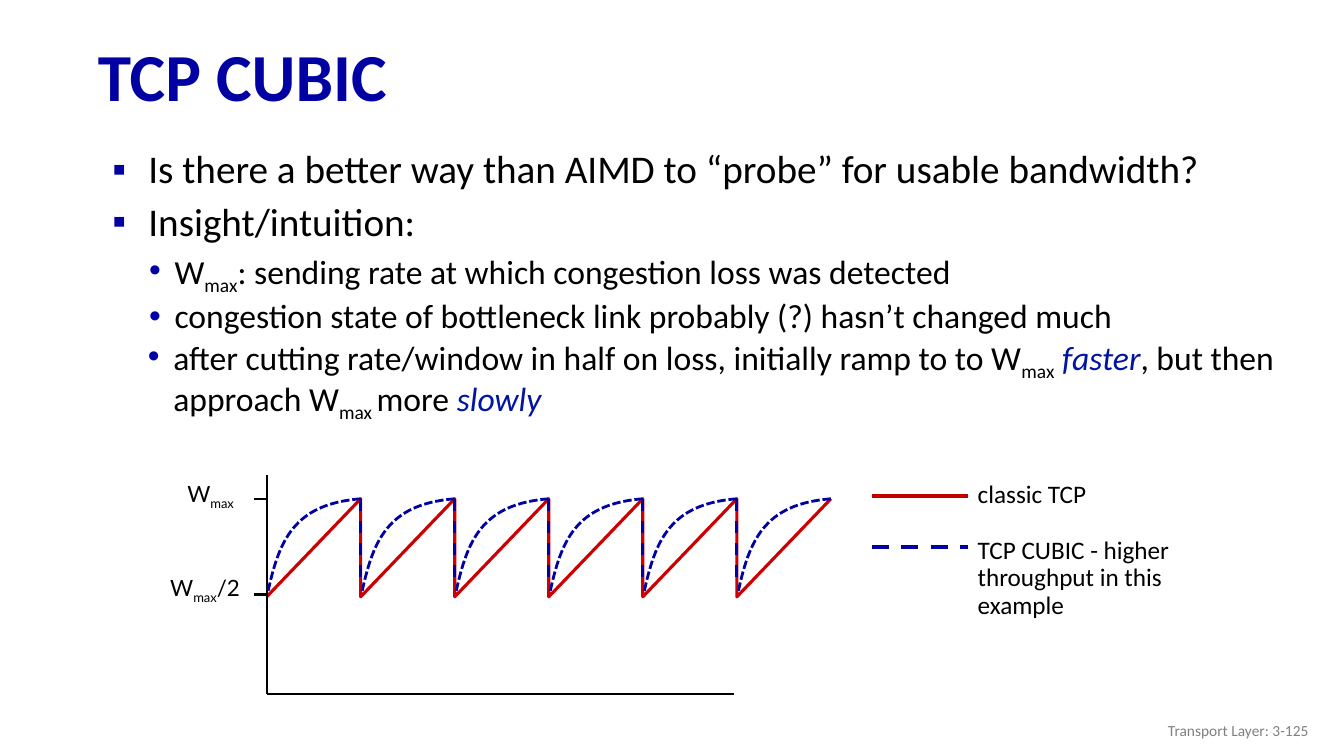
from lxml import etree
from pptx import Presentation
from pptx.dml.color import RGBColor
from pptx.enum.dml import MSO_LINE_DASH_STYLE as DASH
from pptx.enum.shapes import MSO_CONNECTOR
from pptx.enum.text import MSO_ANCHOR, PP_ALIGN
from pptx.oxml.ns import qn
from pptx.util import Cm, Pt

COLORS = {"navy": "0000A3", "bullet": "0000A8", "accent": "0013A3", "black": "000000",
          "red": "CC0000", "key_red": "C00000", "gray": "808080"}
# bullet style: character, colour, left margin, hanging indent (cm), level
BULLETS = {"square": ("▪", "navy", 1.27, -0.91, 0), "dot": ("•", "bullet", 1.93, -0.64, 1)}


def rgb(name):
    return RGBColor.from_string(COLORS[name])


def add_runs(p, parts, size, color="black", font="Calibri", bold=None):
    """Each part is a string, or a (text, "sub" / "em") pair."""
    for part in parts:
        text, kind = (part, None) if isinstance(part, str) else part
        r = p.add_run()
        r.text = text
        f = r.font
        f.name, f.size, f.bold = font, Pt(size), bold
        f.color.rgb = rgb("accent" if kind == "em" else color)
        if kind == "em":
            f.italic = True
        if kind == "sub":
            f._element.set("baseline", "-25000")


def add_text(s, box, wrap=True, anchor=MSO_ANCHOR.TOP):
    tf = s.shapes.add_textbox(*map(Cm, box)).text_frame
    tf.word_wrap = wrap
    tf.vertical_anchor = anchor
    return tf


def set_bullet(p, style):
    char, color, margin, indent, level = BULLETS[style]
    p.level = level
    pPr = p._p.get_or_add_pPr()
    pPr.set("marL", str(Cm(margin)))
    pPr.set("indent", str(Cm(indent)))
    clr = etree.SubElement(pPr, qn("a:buClr"))
    etree.SubElement(clr, qn("a:srgbClr")).set("val", COLORS[color])
    etree.SubElement(pPr, qn("a:buFont")).set("typeface", "Arial")
    etree.SubElement(pPr, qn("a:buChar")).set("char", char)


def style_line(shape, color, width, dash=None):
    shape.line.color.rgb = rgb(color)
    shape.line.width = Pt(width)
    if dash:
        shape.line.dash_style = dash


def add_line(s, x1, y1, x2, y2, color="black", width=1.5, dash=None):
    c = s.shapes.add_connector(MSO_CONNECTOR.STRAIGHT, *map(Cm, (x1, y1, x2, y2)))
    style_line(c, color, width, dash)
    etree.SubElement(c._element.spPr, qn("a:effectLst"))


def add_path(s, points, color, width, dash=None):
    pts = [(Cm(x), Cm(y)) for x, y in points]
    builder = s.shapes.build_freeform(*pts[0])
    builder.add_line_segments(pts[1:], close=False)
    shape = builder.convert_to_shape()
    shape.fill.background()
    shape.shadow.inherit = False
    style_line(shape, color, width, dash)
    return shape


def add_curve(s, start, control1, control2, end, color, width, dash):
    """A cubic Bézier whose controls lie within the box of its ends."""
    shape = add_path(s, (start, end), color, width, dash)
    segment = next(shape._element.iter(qn("a:lnTo")))
    segment.tag = qn("a:cubicBezTo")
    for i, (x, y) in enumerate((control1, control2)):
        pt = etree.Element(qn("a:pt"))
        pt.set("x", str(Cm(x) - shape.left))
        pt.set("y", str(Cm(y) - shape.top))
        segment.insert(i, pt)


def title(s, box, text):
    p = add_text(s, box, anchor=MSO_ANCHOR.MIDDLE).paragraphs[0]
    p.line_spacing = 0.9
    add_runs(p, [text], 48, "navy", bold=True)


def bullet_list(s, box, items):
    tf = add_text(s, box)
    for i, (style, parts) in enumerate(items):
        p = tf.add_paragraph() if i else tf.paragraphs[0]
        p.line_spacing = 0.9
        p.space_before = Pt((10 if style == "square" else 5) if i else 0)
        set_bullet(p, style)
        add_runs(p, parts, 28 if style == "square" else 24)


def window_plot(s, x, y, w, h):
    """Window size over time, with the axes' corner at the bottom left."""
    peak, trough, half = y + 0.61, y + 3.08, y + 3.02
    cycles, pitch = 6, 2.37
    peaks = [x + pitch * (i + 1) for i in range(cycles)]

    # Classic TCP sawtooth
    saw = [(x, trough)]
    for px in peaks:
        saw += [(px, peak), (px, trough)]
    add_path(s, saw[:-1], "red", 2.25)

    # Axes and ticks
    add_line(s, x, y + h, x + w, y + h)
    add_line(s, x, y, x, y + h)
    for ty in (peak, half):
        add_line(s, x - 0.32, ty, x, ty)

    # Tick labels
    for dx, dy, lw, parts in ((-2.25, 0.02, 1.73, ["W", ("max", "sub")]),
                              (-2.68, 2.39, 2.26, ["W", ("max", "sub"), "/2"])):
        tf = add_text(s, (x + dx, y + dy, lw, 0.94), wrap=False)
        add_runs(tf.paragraphs[0], parts, 16, font="Lato")

    # CUBIC ramps, each but the last followed by a drop
    for i, px in enumerate(peaks):
        points = [(px + dx, peak + dy)
                  for dx, dy in ((0, 0), (-1.7, 0.13), (-2.06, 1.07), (-2.34, 2.36))]
        add_curve(s, *points, "navy", 2, DASH.SQUARE_DOT)
        if i < cycles - 1:
            add_line(s, px, peak, px, peak + 2.21, "navy", 2.25, DASH.DASH)


def legend(s, x, y, w):
    key = 2.42
    entries = (("classic TCP", "key_red", None, 0.58, 0.02, 1.0, 1.02),
               ("TCP CUBIC - higher throughput in this example",
                "navy", DASH.DASH, 1.88, 1.52, 0.9, 2.34))
    for text, color, dash, line_y, text_y, spacing, height in entries:
        add_line(s, x, y + line_y, x + key, y + line_y, color, 3, dash)
        p = add_text(s, (x + key, y + text_y, w - key, height)).paragraphs[0]
        p.line_spacing = spacing
        add_runs(p, [text], 18)


def footer(s, box, text):
    p = add_text(s, box, anchor=MSO_ANCHOR.MIDDLE).paragraphs[0]
    p.alignment = PP_ALIGN.RIGHT
    add_runs(p, [text], 11, "gray")


def main():
    prs = Presentation()
    prs.slide_width, prs.slide_height = Cm(33.87), Cm(19.05)
    s = prs.slides.add_slide(prs.slide_layouts[6])

    title(s, (2.22, 0.76, 31.65, 2.49), "TCP CUBIC")
    bullet_list(s, (2.22, 3.65, 31.01, 12.9), [
        ("square", ["Is there a better way than AIMD to “probe” for usable bandwidth?"])])
    window_plot(s, 6.72, 11.96, 11.78, 5.52)
    legend(s, 21.97, 11.91, 8.48)
    bullet_list(s, (2.22, 4.97, 31.01, 12.9), [
        ("square", ["Insight/intuition:"]),
        ("dot", ["W", ("max", "sub"), ": sending rate at which congestion loss was detected"]),
        ("dot", ["congestion state of bottleneck link probably (?) hasn’t changed much"])])
    bullet_list(s, (2.19, 8.37, 31.01, 2.49), [
        ("dot", ["after cutting rate/window in half on loss, initially ramp to to W",
                 ("max", "sub"), (" faster", "em"), ", but then approach W",
                 ("max ", "sub"), "more ", ("slowly", "em")])])
    footer(s, (25.61, 17.89, 7.62, 1.02), "Transport Layer: 3-125")

    prs.save("out.pptx")


if __name__ == "__main__":
    main()
